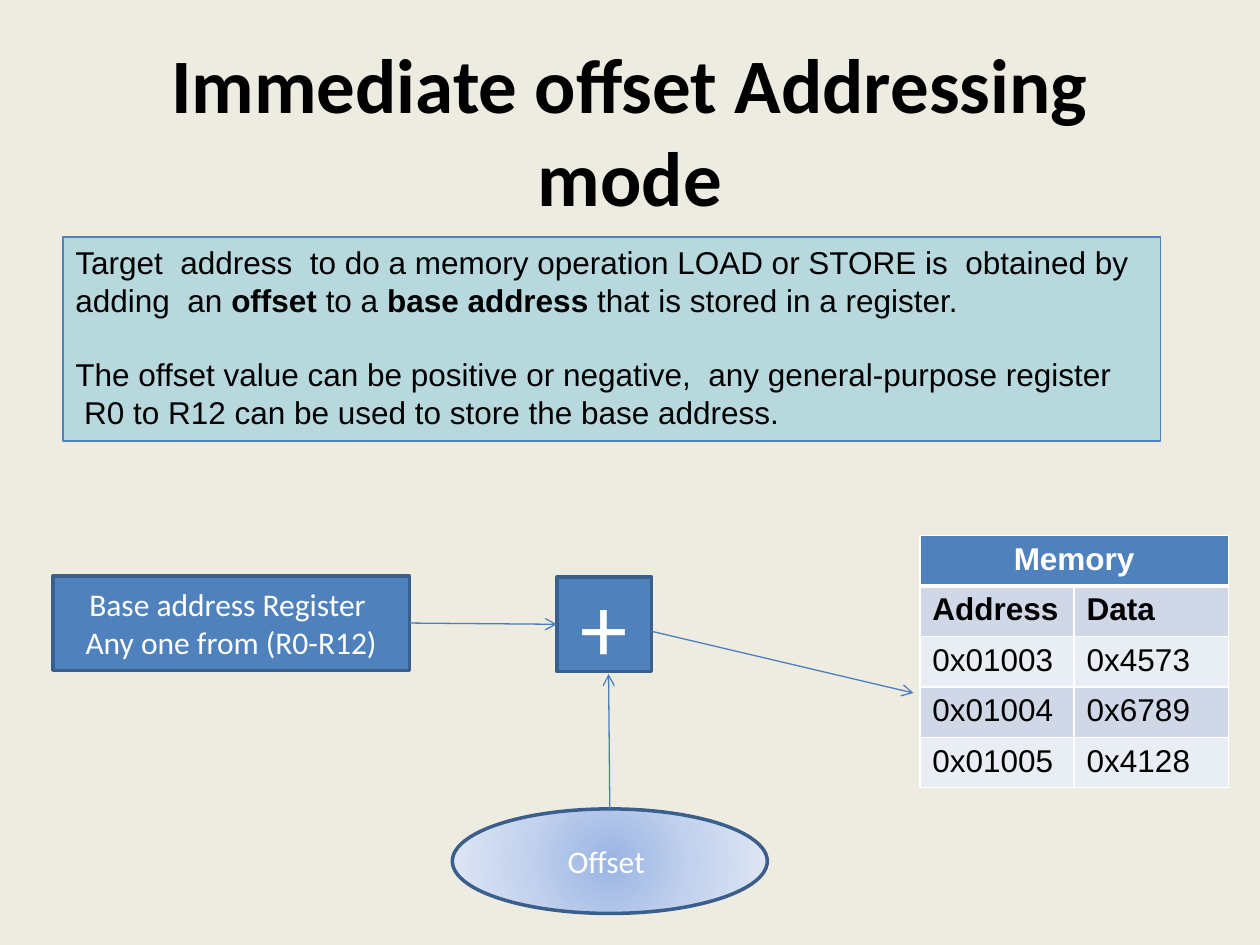
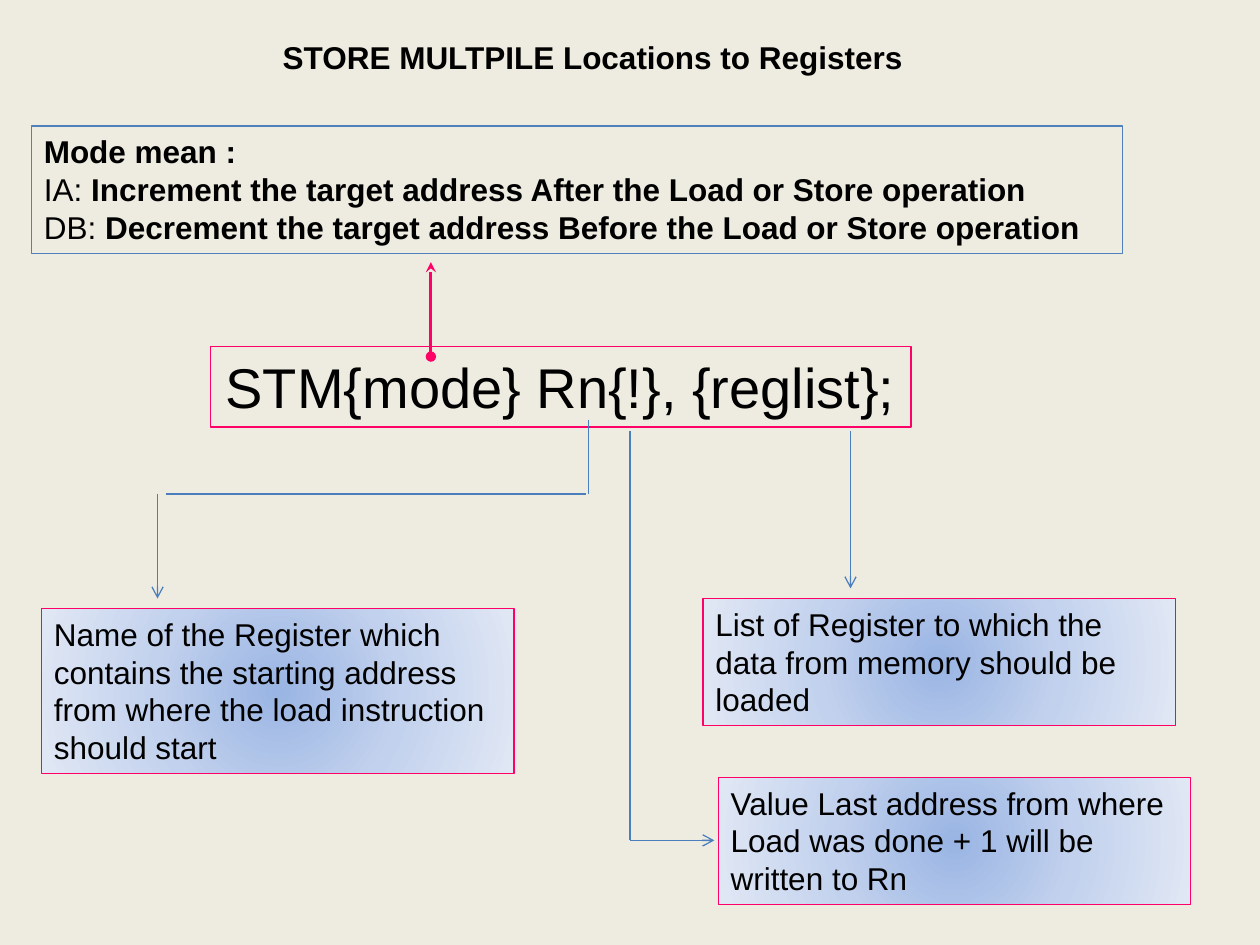
from dataclasses import dataclass

import lxml.etree
import pptx
import pptx.dml.color
import pptx.enum.shapes
import pptx.enum.text
import pptx.oxml.ns
import pptx.presentation
import pptx.shapes.autoshape
import pptx.shapes.connector
import pptx.slide
import pptx.text.text
import pptx.util

Inches = pptx.util.Inches
Pt = pptx.util.Pt
qn = pptx.oxml.ns.qn
Sub = lxml.etree.SubElement
Shape = pptx.enum.shapes.MSO_SHAPE
Align = pptx.enum.text.PP_ALIGN
Anchor = pptx.enum.text.MSO_ANCHOR
Size = pptx.enum.text.MSO_AUTO_SIZE

COLORS = {
    "back": "EEECE1", "text": "000000", "white": "FFFFFF",
    "blue": "4F81BD", "edge": "3A5F8C", "wire": "4B7EBC",
    "aqua": "93CDDD", "pink": "FF0066",
    "dark row": "D0D8E8", "light row": "E9EDF4",
}
GLOW = ((0, "9AB5E4"), (50, "C2D1ED"), (100, "E1E8F5"))


@dataclass(frozen=True)
class Font:
    name: str = "Arial"
    size: float = 18
    color: str = "text"
    bold: bool = False


@dataclass(frozen=True)
class Box:
    left: float
    top: float
    width: float
    height: float
    lines: tuple[str, ...]  # ** switches bold on and off
    fill: str = ""  # a colour, "glow" or nothing
    edge: str = "pink"
    weight: float = 0.75
    font: Font = Font()
    kind: Shape = Shape.RECTANGLE
    align: Align = Align.LEFT
    anchor: Anchor = Anchor.TOP
    grow: bool = True
    wrap: bool = True
    alpha: int = 100


@dataclass(frozen=True)
class Wire:
    start: tuple[float, float]
    end: tuple[float, float]
    tail: str = ""
    head: str = ""
    color: str = "wire"
    weight: float = 0.75


def rgb(name: str) -> pptx.dml.color.RGBColor:
    return pptx.dml.color.RGBColor.from_string(COLORS[name])


def set_para(para: pptx.text.text._Paragraph, line: str, font: Font, align: Align) -> None:
    parts = line.split("**")
    for num, part in enumerate(parts):
        if part:
            run = para.add_run()
            run.text = part
            if len(parts) > 1:
                run.font.bold = num % 2 == 1
    para.alignment = align
    para.font.name = font.name
    para.font.size = Pt(font.size)
    para.font.color.rgb = rgb(font.color)
    if len(parts) == 1:
        para.font.bold = font.bold


def set_glow(shape: pptx.shapes.autoshape.Shape) -> None:
    shape.fill.background()
    props = shape.element.spPr
    grad = lxml.etree.Element(qn("a:gradFill"), rotWithShape="1")
    stops = Sub(grad, qn("a:gsLst"))
    for place, color in GLOW:
        stop = Sub(stops, qn("a:gs"), pos=str(place * 1000))
        Sub(stop, qn("a:srgbClr"), val=color)
    way = Sub(grad, qn("a:path"), path="circle")
    Sub(way, qn("a:fillToRect"), l="50000", t="50000", r="50000", b="50000")
    props.replace(props.find(qn("a:noFill")), grad)


def add_box(slide: pptx.slide.Slide, box: Box) -> pptx.shapes.autoshape.Shape:
    shape = slide.shapes.add_shape(
        box.kind, Inches(box.left), Inches(box.top), Inches(box.width), Inches(box.height))
    shape.shadow.inherit = False
    if box.fill == "glow":
        set_glow(shape)
    elif box.fill:
        shape.fill.solid()
        shape.fill.fore_color.rgb = rgb(box.fill)
        if box.alpha < 100:
            color = shape.element.spPr.find(qn("a:solidFill"))[0]
            Sub(color, qn("a:alpha"), val=str(box.alpha * 1000))
    else:
        shape.fill.background()
    shape.line.color.rgb = rgb(box.edge)
    shape.line.width = Pt(box.weight)
    frame = shape.text_frame
    frame.word_wrap = box.wrap
    frame.vertical_anchor = box.anchor
    frame.auto_size = Size.SHAPE_TO_FIT_TEXT if box.grow else Size.NONE
    for num, line in enumerate(box.lines):
        para = frame.add_paragraph() if num else frame.paragraphs[0]
        set_para(para, line, box.font, box.align)
    return shape


def add_wire(slide: pptx.slide.Slide, wire: Wire) -> pptx.shapes.connector.Connector:
    line = slide.shapes.add_connector(
        pptx.enum.shapes.MSO_CONNECTOR.STRAIGHT,
        *(Inches(num) for num in wire.start + wire.end))
    line.line.color.rgb = rgb(wire.color)
    line.line.width = Pt(wire.weight)
    props = line.element.spPr
    for tag, tip in (("a:headEnd", wire.head), ("a:tailEnd", wire.tail)):
        if tip:
            Sub(props.find(qn("a:ln")), qn(tag), type=tip)
    Sub(props, qn("a:effectLst"))
    return line


def add_slide(deck: pptx.presentation.Presentation, title: str, place: tuple[float, ...],
              font: Font, anchor: Anchor) -> pptx.slide.Slide:
    slide = deck.slides.add_slide(deck.slide_layouts[5])
    shape = slide.shapes.title
    shape.left, shape.top, shape.width, shape.height = (Inches(num) for num in place)
    frame = shape.text_frame
    frame.word_wrap = True
    frame.auto_size = Size.NONE
    frame.vertical_anchor = anchor
    set_para(frame.paragraphs[0], title, font, Align.CENTER)
    return slide


def add_memory(slide: pptx.slide.Slide) -> None:
    rows = (("Memory", ""), ("Address", "Data"), ("0x01003", "0x4573"),
            ("0x01004", "0x6789"), ("0x01005", "0x4128"))
    table = slide.shapes.add_table(
        len(rows), 2, Inches(7.3), Inches(4.25), Inches(2.45), Inches(2)).table
    for row, words in enumerate(rows):
        fill = "blue" if row == 0 else "dark row" if row % 2 else "light row"
        font = Font(color="text" if row else "white", bold=row < 2)
        for col, word in enumerate(words):
            cell = table.cell(row, col)
            cell.fill.solid()
            cell.fill.fore_color.rgb = rgb(fill)
            set_para(cell.text_frame.paragraphs[0], word, font,
                     Align.LEFT if row else Align.CENTER)
            # White rules, thicker under the heading
            props = cell._tc.get_or_add_tcPr()
            for num, side in enumerate("LRTB"):
                thick = (row, side) in ((0, "B"), (1, "T"))
                edge = lxml.etree.Element(qn(f"a:ln{side}"), w=str(Pt(3 if thick else 1)))
                Sub(Sub(edge, qn("a:solidFill")), qn("a:srgbClr"), val=COLORS["white"])
                props.insert(num, edge)
    table.cell(0, 0).merge(table.cell(0, 1))


def add_offset(deck: pptx.presentation.Presentation) -> None:
    slide = add_slide(deck, "Immediate offset Addressing mode", (0.5, 0.3, 9, 1.45),
                      Font("Calibri", 44, bold=True), Anchor.MIDDLE)
    note = add_box(slide, Box(0.5, 1.88, 8.71, 1.62, (
        "Target  address  to do a memory operation LOAD or STORE is  obtained by",
        "adding  an **offset** to a **base address **that is stored in a register.",
        "The offset value can be positive or negative,  any general-purpose register",
        " R0 to R12 can be used to store the base address.",
    ), "aqua", "blue", wrap=False, alpha=60))
    note.text_frame.paragraphs[2].space_before = Pt(21)

    # Address sum
    def add_node(left: float, top: float, width: float, height: float, *lines: str,
                 fill: str = "blue", kind: Shape = Shape.RECTANGLE,
                 size: float = 18) -> pptx.shapes.autoshape.Shape:
        return add_box(slide, Box(
            left, top, width, height, lines, fill, "edge", 2, Font("Calibri", size, "white"),
            kind, Align.CENTER, Anchor.MIDDLE, grow=False))

    base = add_node(0.42, 4.57, 2.83, 0.75, "Base address Register ", "Any one from (R0-R12)")
    shift = add_node(3.59, 6.42, 2.5, 0.83, "Offset ", fill="glow", kind=Shape.OVAL)
    plus = add_node(4.42, 4.58, 0.75, 0.75, "+", kind=Shape.FLOWCHART_PROCESS, size=54)

    feed = add_wire(slide, Wire((3.25, 4.95), (4.42, 4.96), "arrow"))
    feed.begin_connect(base, 3)
    feed.end_connect(plus, 1)
    lift = add_wire(slide, Wire((4.84, 6.42), (4.83, 5.35), "arrow"))
    lift.begin_connect(shift, 0)
    add_wire(slide, Wire((5.17, 5.01), (7.25, 5.5), "arrow"))
    add_memory(slide)


def add_store(deck: pptx.presentation.Presentation) -> None:
    slide = add_slide(deck, "STORE MULTPILE Locations to Registers", (0.33, 0.25, 8.75, 0.4),
                      Font(bold=True), Anchor.TOP)

    # Instruction and its modes
    add_box(slide, Box(1.67, 2.75, 5.56, 0.64, ("STM{mode} Rn{!}, {reglist};",),
                       font=Font(size=32), align=Align.CENTER, wrap=False))
    add_box(slide, Box(0.25, 1, 8.66, 1.01, (
        "**Mode mean :**",
        "IA: **Increment the target address After the Load or Store operation**",
        "DB: **Decrement the target address Before the Load or Store operation**",
    ), edge="blue", wrap=False))

    # Meaning of each operand
    for left, top, height, text in (
        (0.33, 4.83, 1.31, "Name of the Register which contains the starting address "
                           "from where the load instruction should start"),
        (5.58, 4.75, 1.01, "List of Register to which the data from memory should be loaded"),
        (5.7, 6.17, 1.01, "Value Last address from where Load was done + 1 "
                          "will be written to Rn"),
    ):
        add_box(slide, Box(left, top, 3.75, height, (text,), "glow"))

    # Leads
    for wire in (
        Wire((3.42, 2.83), (3.42, 2.08), "stealth", "oval", "pink", 1.75),
        Wire((4.67, 3.33), (4.67, 3.92)),
        Wire((4.65, 3.92), (1.32, 3.92)),
        Wire((1.25, 3.92), (1.25, 4.75), "arrow"),
        Wire((6.75, 3.42), (6.75, 4.67), "arrow"),
        Wire((5, 3.42), (5, 6.67)),
        Wire((5, 6.67), (5.67, 6.67), "arrow"),
    ):
        add_wire(slide, wire)


def main() -> None:
    deck = pptx.Presentation()
    deck.slide_width, deck.slide_height = Inches(10), Inches(7.5)
    back = deck.slide_master.background.fill
    back.solid()
    back.fore_color.rgb = rgb("back")
    add_offset(deck)
    add_store(deck)
    deck.save("out.pptx")


if __name__ == "__main__":
    main()
